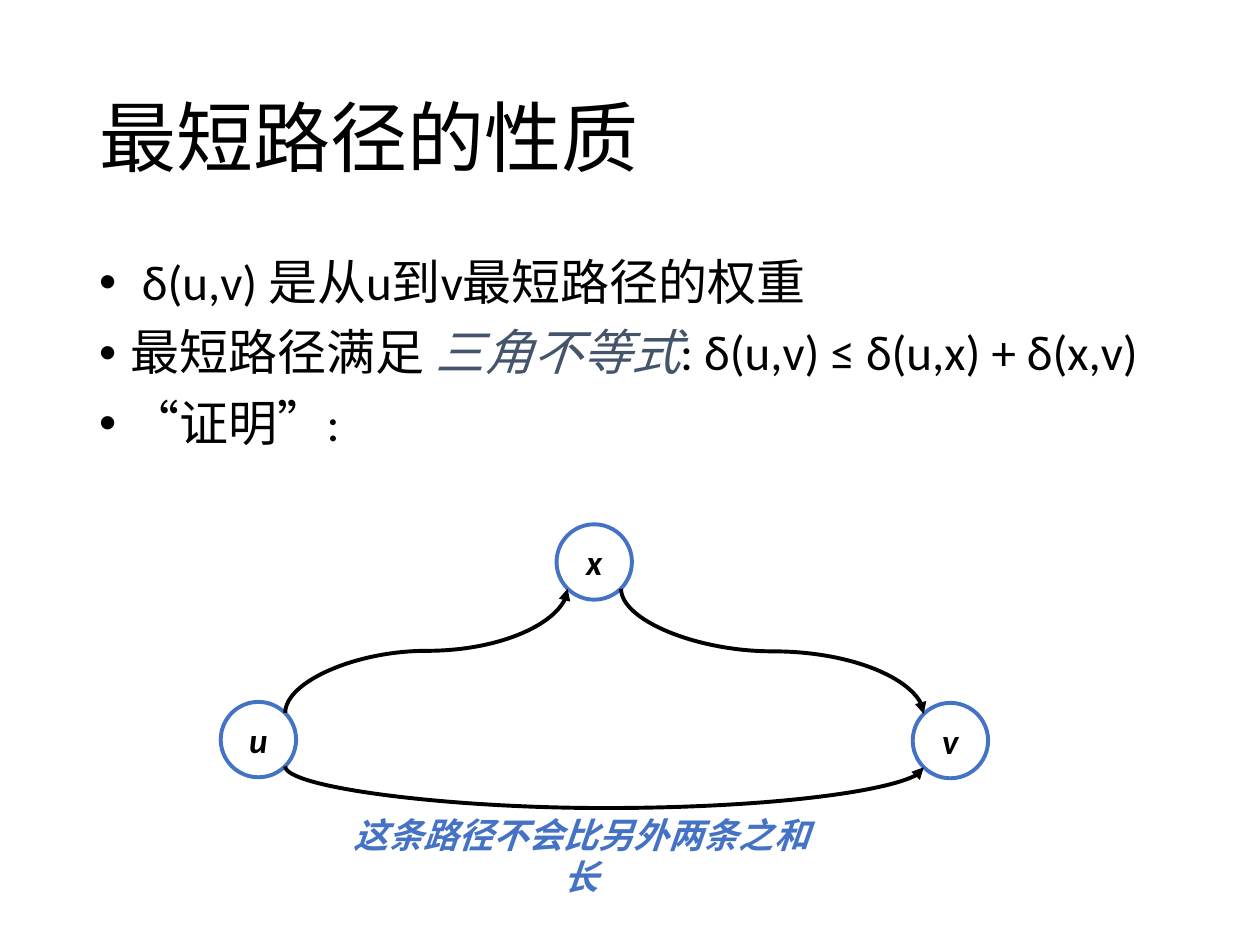
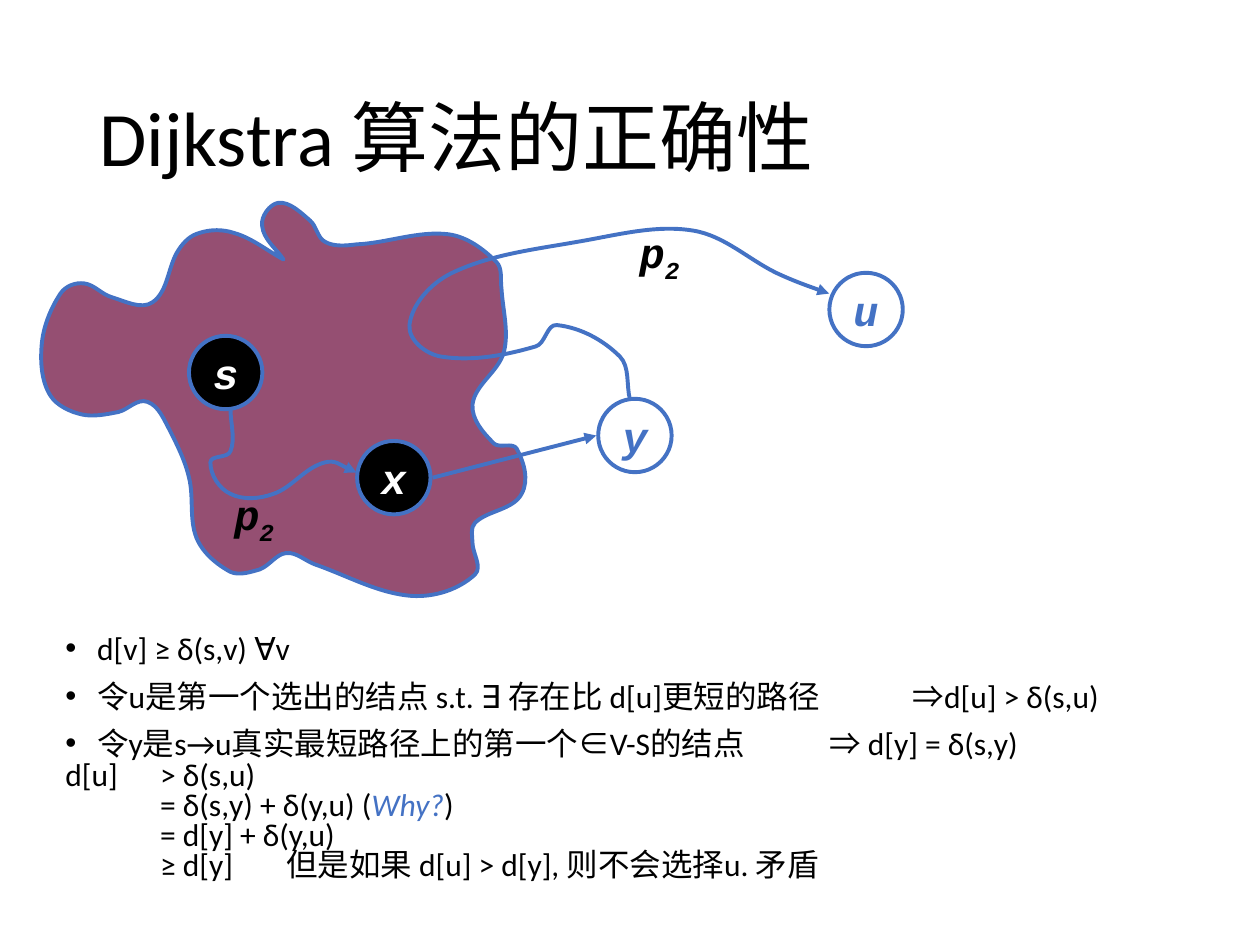
import math

from pptx import Presentation
from pptx import util as u
from pptx.dml.color import RGBColor
from pptx.enum import lang, shapes, text
from pptx.oxml.ns import qn
from pptx.oxml.xmlchemy import OxmlElement

BLACK, WHITE, BLUE, SLATE, PLUM = "000000", "FFFFFF", "4472C4", "44546A", "954F72"
BODY_FONT, NODE_FONT = "Calibri", "Courier New"
LINE_WIDTH = u.Pt(2.25)
TITLE_BOX = (1.75, 1.02, 21.9, 3.68)
BULLET_INDENT = 0.64
GRID = u.Cm(0.0254)  # unit of the curve coordinates

# A paragraph is a list of runs: (text, format changes)
PROPERTIES = {
    "title": "最短路径的性质",
    "box": (1.75, 5.08, 21.9, 12.09),
    "size": 28,
    "spacing": 0.9,
    "paragraphs": [
        {"runs": [(" δ(u,v) 是从u到v最短路径的权重", {})]},
        {"runs": [("最短路径满足 ", {}),
                  ("三角不等式", {"color": SLATE, "italic": True}),
                  (": δ(u,v) ≤ δ(u,x) + δ(x,v)", {})]},
        {"runs": [("“证明”:", {})]},
    ],
}
TRIANGLE_NODES = {"x": (11.98, 11.33), "u": (5.21, 14.91), "v": (19.16, 14.93)}
TRIANGLE_DIAMETER = 1.52
# Ellipse connection sites: (site number, x direction, y direction)
TOP_LEFT, BOTTOM_LEFT = (1, -1, -1), (3, -1, 1)
BOTTOM_RIGHT, TOP_RIGHT = (5, 1, 1), (7, 1, -1)
# from, site, to, site, depth of the bend as a share of the height
TRIANGLE_EDGES = [
    ("u", TOP_RIGHT, "x", BOTTOM_LEFT, 0.5),
    ("x", BOTTOM_RIGHT, "v", TOP_LEFT, 0.5),
    ("u", BOTTOM_RIGHT, "v", BOTTOM_LEFT, 42),
]
CAPTION = "这条路径不会比另外两条之和长"
CAPTION_BOX = (6.57, 16.28, 10.3, 1.09)

CORRECTNESS = {
    "title": "Dijkstra 算法的正确性",
    "box": (1.07, 12.7, 23.29, 5.28),
    "size": 18,
    "spacing": 0.8,
    "paragraphs": [
        {"runs": [("d[v] ≥ δ(s,v) ∀v", {})]},
        {"runs": [("令u是第一个选出的结点 s.t. ∃ 存在比 d[u]更短的路径\t⇒d[u] > δ(s,u)", {})],
         "tabs": [17.08]},
        {"runs": [("令y是s→u真实最短路径上的第一个∈V-S的结点\t⇒ d[y] = δ(s,y)", {})],
         "tabs": [15.4]},
        {"runs": [("d[u]\t> δ(s,u)\n\t= δ(s,y) + δ(y,u) (", {}),
                  ("Why?", {"color": BLUE, "italic": True}),
                  (")\n\t= d[y] + δ(y,u)\n\t≥ d[y]\t但是如果 d[u] > d[y], 则不会选择u. 矛盾", {})],
         "tabs": [2.54, 7.62], "bullet": False},
    ],
}
# centre x, centre y, fill, text colour
PROOF_NODES = {
    "s": (4.55, 7.51, BLACK, WHITE),
    "x": (7.94, 9.63, BLACK, WHITE),
    "y": (12.8, 8.78, WHITE, BLUE),
    "u": (17.46, 6.24, WHITE, BLUE),
}
PROOF_DIAMETER = 1.48
PATH_LABELS = [(12.62, 4.45), (4.45, 9.73)]
PATH_LABEL_SIZE = (1.35, 1.27)

# Points that a smooth curve passes through
VISITED_REGION = [
    (225, 206), (186, 185), (158, 185), (142, 198), (121, 240), (89, 236), (67, 225),
    (48, 233), (33, 275), (40, 314), (65, 329), (94, 327), (117, 319), (135, 342),
    (150, 379), (156, 427), (183, 454), (206, 452), (227, 439), (250, 448), (327, 473),
    (377, 456), (375, 431), (377, 415), (414, 392), (410, 356), (392, 352), (375, 321),
    (400, 279), (398, 229), (394, 208), (356, 186), (283, 194), (258, 192), (246, 175),
    (221, 161), (208, 179), (225, 206),
]
PATH_S_TO_X = [(183, 325), (183, 358), (167, 367), (183, 392), (217, 392), (258, 367), (283, 375)]
PATH_Y_TO_U = [(500, 317), (492, 283), (442, 258), (425, 275), (350, 283), (325, 258),
               (358, 217), (458, 192), (550, 183), (617, 217), (658, 233)]


def rgb(hex_color):
    return RGBColor.from_string(hex_color)


def cm(*values):
    return [u.Cm(v) for v in values]


def child(parent, tag, **attributes):
    el = OxmlElement(tag)
    for name, value in attributes.items():
        el.set(name, str(value))
    parent.append(el)
    return el


def add_run(p, words, size, color=BLACK, font=BODY_FONT, bold=False, italic=False, baseline=0):
    for i, line in enumerate(words.split("\n")):
        if i:
            p.add_line_break()
        if not line:
            continue
        r = p.add_run()
        r.text = line
        f = r.font
        f.name, f.size, f.bold, f.italic = font, u.Pt(size), bold, italic
        f.color.rgb = rgb(color)
        f.language_id = lang.MSO_LANGUAGE_ID.SIMPLIFIED_CHINESE
        if baseline:
            r._r.get_or_add_rPr().set("baseline", str(baseline * 1000))


def add_textbox(slide, box, anchor=text.MSO_ANCHOR.TOP, wrap=True):
    tf = slide.shapes.add_textbox(*cm(*box)).text_frame
    tf.word_wrap = wrap
    tf.vertical_anchor = anchor
    return tf


def add_title(slide, words):
    p = add_textbox(slide, TITLE_BOX, text.MSO_ANCHOR.MIDDLE).paragraphs[0]
    p.line_spacing = 0.9
    add_run(p, words, 44)


def add_body(slide, content):
    tf = add_textbox(slide, content["box"])
    for i, item in enumerate(content["paragraphs"]):
        p = tf.add_paragraph() if i else tf.paragraphs[0]
        bullet = item.get("bullet", True)
        pPr = p._p.get_or_add_pPr()
        pPr.set("marL", str(u.Cm(BULLET_INDENT)))
        pPr.set("indent", str(-u.Cm(BULLET_INDENT)))
        if bullet:
            child(pPr, "a:buFont", typeface="Arial")
            child(pPr, "a:buChar", char="•")
        else:
            child(pPr, "a:buNone")
        if "tabs" in item:
            stops = child(pPr, "a:tabLst")
            for pos in item["tabs"]:
                child(stops, "a:tab", pos=u.Cm(pos), algn="l")
        p.line_spacing = content["spacing"]
        p.space_before = u.Pt(10 if i and bullet else 0)
        for words, changes in item["runs"]:
            add_run(p, words, content["size"], **changes)


def add_node(slide, name, x, y, diameter, fill, **style):
    """Add a labelled circle centred on x, y."""
    half = diameter / 2
    sp = slide.shapes.add_shape(shapes.MSO_SHAPE.OVAL, *cm(x - half, y - half, diameter, diameter))
    sp.shadow.inherit = False
    sp.fill.solid()
    sp.fill.fore_color.rgb = rgb(fill)
    style_line(sp, BLUE)
    tf = sp.text_frame
    tf.word_wrap = False
    tf.vertical_anchor = text.MSO_ANCHOR.MIDDLE
    p = tf.paragraphs[0]
    p.alignment = text.PP_ALIGN.CENTER
    add_run(p, name, bold=True, italic=True, **style)
    return sp


def style_line(sp, color, arrow=False):
    sp.line.color.rgb = rgb(color)
    sp.line.width = LINE_WIDTH
    if arrow:
        child(sp.line._get_or_add_ln(), "a:tailEnd", type="triangle")


def add_arrow(slide, kind, ends, color):
    cxn = slide.shapes.add_connector(kind, *cm(*ends))
    style_line(cxn, color, arrow=True)
    child(cxn._element.spPr, "a:effectLst")
    return cxn


def add_bent_arrow(slide, nodes, start, start_site, end, end_site, bend):
    """Join two circles by a curve that leaves and arrives vertically."""
    reach = TRIANGLE_DIAMETER / 2 * 0.71
    (x1, y1), (x2, y2) = [
        (TRIANGLE_NODES[n][0] + dx * reach, TRIANGLE_NODES[n][1] + dy * reach)
        for n, (_, dx, dy) in ((start, start_site), (end, end_site))]
    mid_x, mid_y, half_w, half_h = (x1 + x2) / 2, (y1 + y2) / 2, (x2 - x1) / 2, (y2 - y1) / 2
    # The frame lies on its side and is turned by 270 degrees
    cxn = add_arrow(slide, shapes.MSO_CONNECTOR.CURVE,
                    (mid_x + half_h, mid_y - half_w, mid_x - half_h, mid_y + half_w), BLACK)
    spPr = cxn._element.spPr
    spPr.find(qn("a:xfrm")).set("rot", str(270 * 60000))
    geom = spPr.find(qn("a:prstGeom"))
    for guides in geom.findall(qn("a:avLst")):
        geom.remove(guides)
    child(child(geom, "a:avLst"), "a:gd", name="adj1", fmla=f"val {round(bend * 100000)}")
    cxn._connect_begin_to(nodes[start], start_site[0])
    cxn._connect_end_to(nodes[end], end_site[0])


def smooth(knots):
    """Return two handles and an end point for each step between knots."""
    padded = [knots[0], *knots, knots[-1]]
    angles = [math.atan2(c[1] - a[1], c[0] - a[0]) for a, c in zip(padded, padded[2:])]
    points = []
    for i, (a, b) in enumerate(zip(knots, knots[1:])):
        reach = math.dist(a, b) / 3
        for (x, y), angle, r in ((a, angles[i], reach), (b, angles[i + 1], -reach)):
            points.append((round(x + r * math.cos(angle)), round(y + r * math.sin(angle))))
        points.append(b)
    return points


def add_curve(slide, knots, fill=None):
    """Draw a smooth line: a filled closed outline, or an open arrow."""
    builder = slide.shapes.build_freeform(*knots[0], scale=GRID)
    builder.add_line_segments(smooth(knots), close=fill is not None)
    sp = builder.convert_to_shape()
    sp.shadow.inherit = False
    outline = sp._element.find(".//" + qn("a:path"))
    steps = outline.findall(qn("a:lnTo"))
    for i in range(0, len(steps) - 2, 3):
        curve = OxmlElement("a:cubicBezTo")
        steps[i].addprevious(curve)
        for step in steps[i:i + 3]:
            curve.append(step[0])
            outline.remove(step)
    if fill:
        sp.fill.solid()
        sp.fill.fore_color.rgb = rgb(fill)
    else:
        sp.fill.background()
    style_line(sp, BLUE, arrow=fill is None)


def new_slide(prs, content):
    slide = prs.slides.add_slide(prs.slide_layouts[6])
    add_title(slide, content["title"])
    add_body(slide, content)
    return slide


def build_properties(prs):
    slide = new_slide(prs, PROPERTIES)
    nodes = {name: add_node(slide, name, x, y, TRIANGLE_DIAMETER, WHITE, size=20)
             for name, (x, y) in TRIANGLE_NODES.items()}
    for edge in TRIANGLE_EDGES:
        add_bent_arrow(slide, nodes, *edge)
    p = add_textbox(slide, CAPTION_BOX).paragraphs[0]
    p.alignment = text.PP_ALIGN.CENTER
    add_run(p, CAPTION, 20, BLUE, bold=True, italic=True)


def build_correctness(prs):
    slide = new_slide(prs, CORRECTNESS)
    add_curve(slide, VISITED_REGION, PLUM)
    for name, (x, y, fill, color) in PROOF_NODES.items():
        add_node(slide, name, x, y, PROOF_DIAMETER, fill, size=24, color=color, font=NODE_FONT)
    add_curve(slide, PATH_S_TO_X)
    reach = PROOF_DIAMETER / 2 + 0.04
    (x1, y1), (x2, y2) = PROOF_NODES["x"][:2], PROOF_NODES["y"][:2]
    add_arrow(slide, shapes.MSO_CONNECTOR.STRAIGHT, (x1 + reach, y1, x2 - reach, y2), BLUE)
    add_curve(slide, PATH_Y_TO_U)
    for corner in PATH_LABELS:
        p = add_textbox(slide, corner + PATH_LABEL_SIZE, wrap=False).paragraphs[0]
        p.alignment = text.PP_ALIGN.CENTER
        for words, baseline in (("p", 0), ("2", -25)):
            add_run(p, words, 24, font=NODE_FONT, bold=True, italic=True, baseline=baseline)


def main():
    prs = Presentation()
    prs.slide_width, prs.slide_height = cm(25.4, 19.05)
    build_properties(prs)
    build_correctness(prs)
    prs.save("out.pptx")


if __name__ == "__main__":
    main()
